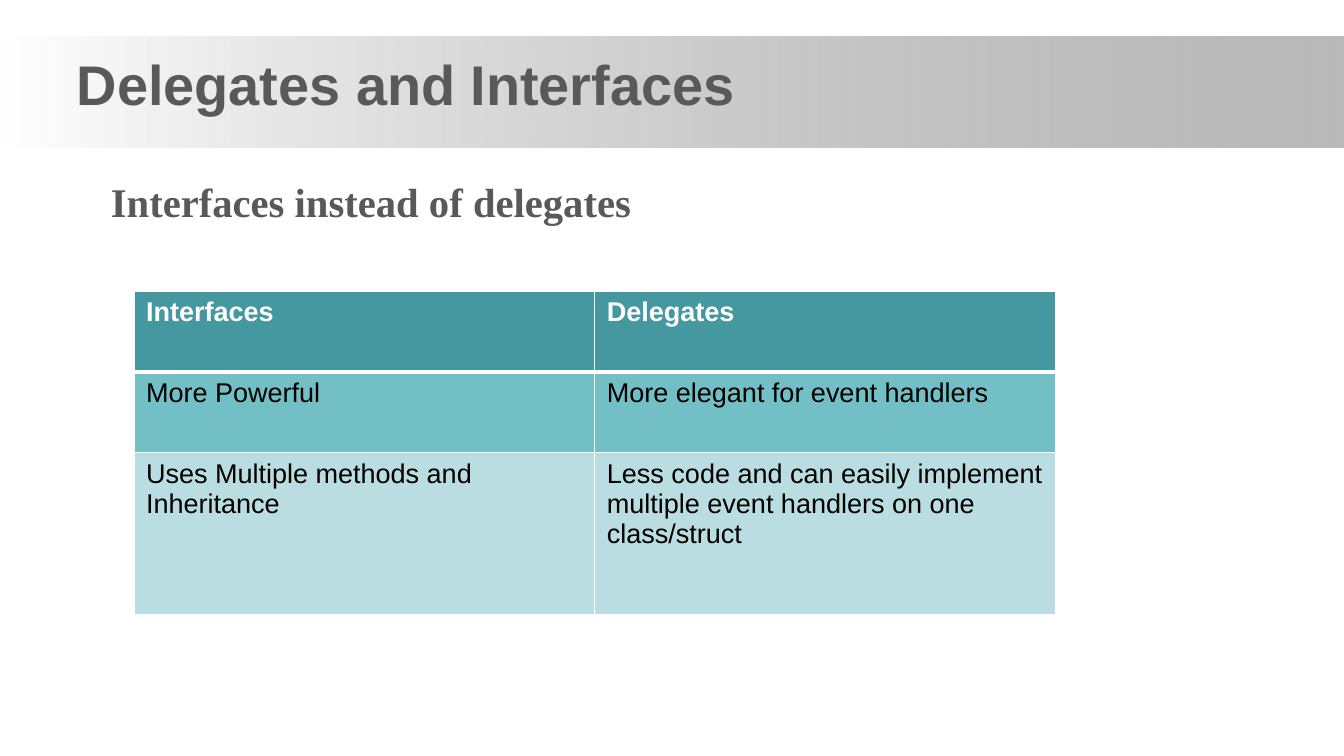
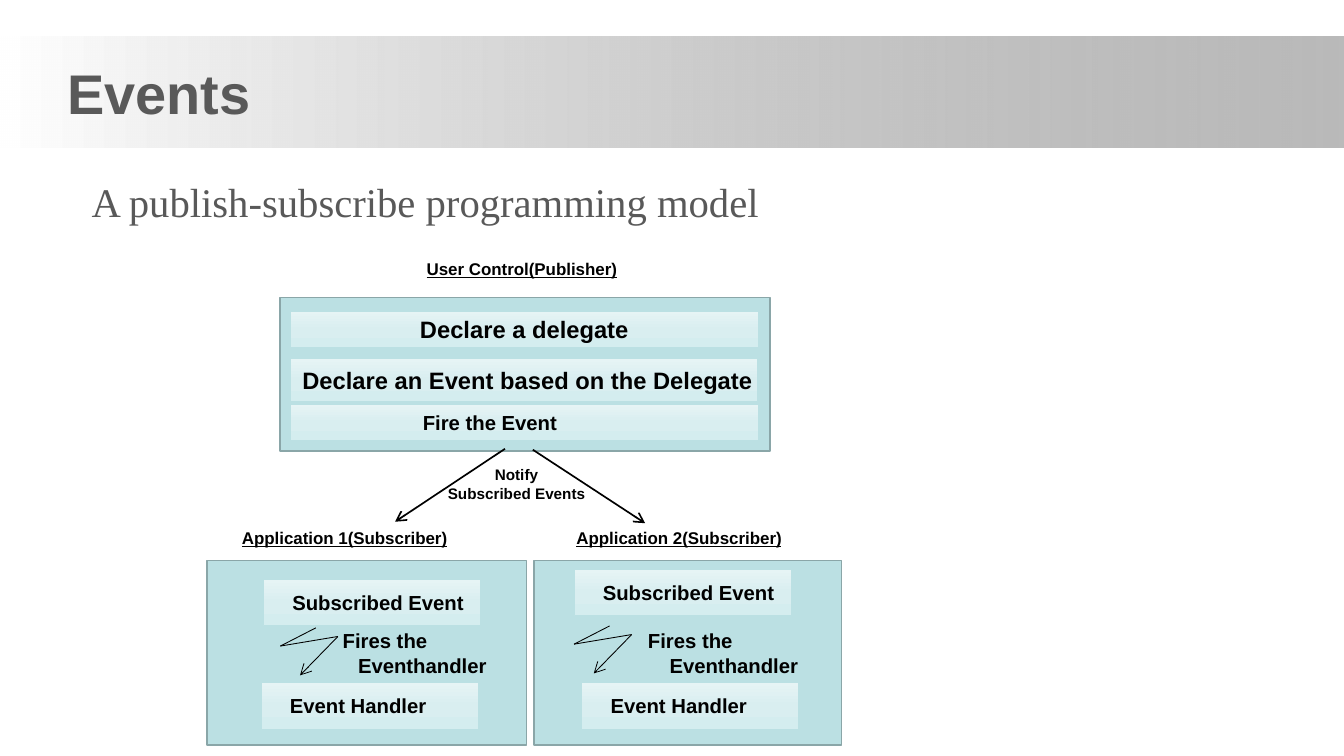
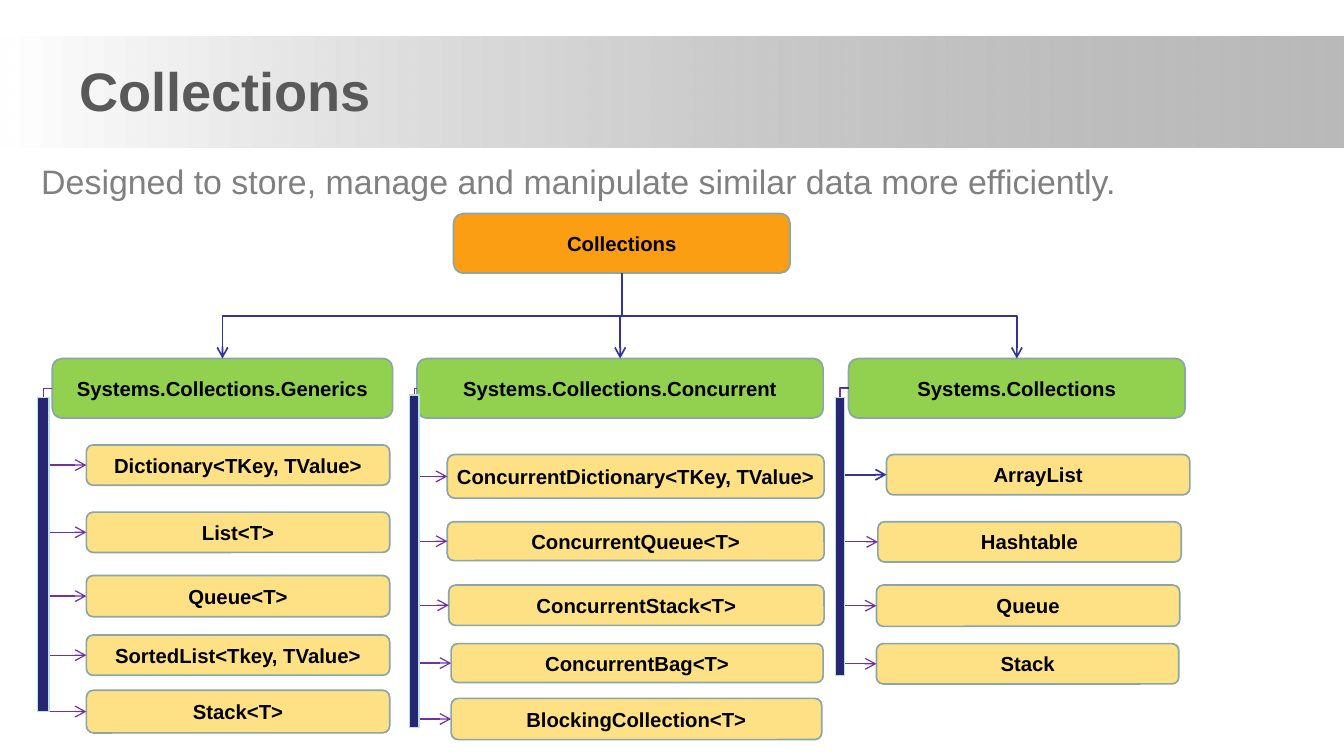
from itertools import pairwise

from lxml.etree import SubElement
from pptx import Presentation
from pptx.dml.color import RGBColor
from pptx.enum.shapes import MSO_CONNECTOR, MSO_SHAPE
from pptx.enum.text import MSO_ANCHOR, PP_ALIGN
from pptx.oxml.ns import qn
from pptx.util import Cm, Pt

WHITE = RGBColor(0xFF, 0xFF, 0xFF)
BLACK = RGBColor(0x00, 0x00, 0x00)
GRAY = RGBColor(0x80, 0x80, 0x80)
DARK_GRAY = RGBColor(0x59, 0x59, 0x59)
PALE_TEAL = RGBColor(0xBB, 0xE0, 0xE3)
TEAL_EDGE = RGBColor(0x8A, 0xA6, 0xA8)
PANEL_TOP = RGBColor(0xE6, 0xF4, 0xF5)
PANEL_MIDDLE = RGBColor(0xD9, 0xEE, 0xF0)
PANEL_BOTTOM = RGBColor(0xD4, 0xED, 0xEF)
HEADER_TEAL = RGBColor(0x45, 0x97, 0xA0)
ROW_TEAL = RGBColor(0x72, 0xBF, 0xC5)
ROW_LIGHT = RGBColor(0xBA, 0xDD, 0xE1)
ORANGE = RGBColor(0xFB, 0x9E, 0x13)
GREEN = RGBColor(0x92, 0xD0, 0x50)
YELLOW = RGBColor(0xFF, 0xE1, 0x85)
INDIGO = RGBColor(0x33, 0x33, 0x99)
NAVY = RGBColor(0x26, 0x26, 0x73)
PURPLE = RGBColor(0x70, 0x30, 0xA0)

SANS, SERIF = "Arial", "Times New Roman"
WIDTH, HEIGHT = 28, 15.75


class Deck:
    """Holds the shared style and the current slide; lengths are in cm."""

    def __init__(self):
        self.presentation = Presentation()
        self.presentation.slide_width = Cm(WIDTH)
        self.presentation.slide_height = Cm(HEIGHT)
        self.slide = None

    # Slide frame: band, title, subtitle
    def new_slide(self, title, left, top, size=33):
        layout = self.presentation.slide_layouts[6]
        self.slide = self.presentation.slides.add_slide(layout)
        band = self.shape(MSO_SHAPE.RECTANGLE, (0, 0.76, WIDTH, 2.31))
        self.gradient(band, [(0, WHITE, 100), (100, GRAY, 54)], 0)
        self.text([title], (left, top, 16, 1.32), size, DARK_GRAY,
                  anchor=MSO_ANCHOR.MIDDLE)

    def subtitle(self, text, left, top=3.68, size=24, color=DARK_GRAY,
                 font=SERIF, bold=False):
        self.text([text], (left, top, 25, 1.2), size, color, font, bold)

    # Text
    def add_lines(self, frame, lines, size, color=BLACK, font=SANS, bold=True,
                  underline=False, align=PP_ALIGN.LEFT, indents=()):
        for index, line in enumerate(lines):
            paragraph = frame.add_paragraph() if index else frame.paragraphs[0]
            paragraph.alignment = align
            if indents:
                properties = paragraph._p.get_or_add_pPr()
                properties.set("marL", str(Cm(indents[index])))
                properties.set("indent", "0")
            run = paragraph.add_run()
            run.text = line
            run.font.size = Pt(size)
            run.font.name = font
            run.font.bold = bold
            run.font.underline = underline
            run.font.color.rgb = color

    def fit(self, frame, anchor):
        frame.word_wrap = True
        frame.vertical_anchor = anchor
        frame.margin_left = frame.margin_right = 0
        frame.margin_top = frame.margin_bottom = 0

    def text(self, lines, box, size, color=BLACK, font=SANS, bold=True,
             anchor=MSO_ANCHOR.TOP, **style):
        frame = self.slide.shapes.add_textbox(*map(Cm, box)).text_frame
        self.fit(frame, anchor)
        self.add_lines(frame, lines, size, color, font, bold, **style)

    # Shapes
    def shape(self, kind, box, fill=None, edge=None, edge_width=1):
        shape = self.slide.shapes.add_shape(kind, *map(Cm, box))
        shape.shadow.inherit = False
        if fill is not None:
            shape.fill.solid()
            shape.fill.fore_color.rgb = fill
        if edge is None:
            shape.line.fill.background()
        else:
            shape.line.color.rgb = edge
            shape.line.width = Pt(edge_width)
        self.fit(shape.text_frame, MSO_ANCHOR.MIDDLE)
        return shape

    def gradient(self, shape, stops, angle):
        shape.fill.gradient()
        fill = shape.element.spPr.find(qn("a:gradFill"))
        stop_list = fill.find(qn("a:gsLst"))
        for stop in list(stop_list):
            stop_list.remove(stop)
        for position, color, opacity in stops:
            stop = SubElement(stop_list, qn("a:gs"), pos=str(position * 1000))
            value = SubElement(stop, qn("a:srgbClr"), val=str(color))
            if opacity < 100:
                SubElement(value, qn("a:alpha"), val=str(opacity * 1000))
        fill.find(qn("a:lin")).set("ang", str(angle * 60000))

    def container(self, box, lines=(), indents=()):
        shape = self.shape(MSO_SHAPE.RECTANGLE, box, PALE_TEAL, TEAL_EDGE)
        self.add_lines(shape.text_frame, lines, 12, indents=indents)

    def panel(self, text, box, indent=0.6, size=12):
        shape = self.shape(MSO_SHAPE.RECTANGLE, box, edge=PALE_TEAL, edge_width=0.5)
        self.gradient(shape, [(0, PANEL_TOP, 100), (50, PANEL_MIDDLE, 100),
                              (100, PANEL_BOTTOM, 100)], 90)
        self.add_lines(shape.text_frame, [text], size, indents=[indent])

    def node(self, text, box, fill):
        shape = self.shape(MSO_SHAPE.ROUNDED_RECTANGLE, box, fill, TEAL_EDGE)
        self.add_lines(shape.text_frame, [text], 12, align=PP_ALIGN.CENTER)
        return shape

    def rail(self, box):
        shape = self.shape(MSO_SHAPE.CAN, box, NAVY, PALE_TEAL, 0.75)
        shape.adjustments[0] = 0

    # Lines
    def style_line(self, connector, color, width, arrow):
        connector.line.color.rgb = color
        connector.line.width = Pt(width)
        properties = connector.element.spPr
        if arrow:
            SubElement(properties.find(qn("a:ln")), qn("a:tailEnd"), type="arrow")
        SubElement(properties, qn("a:effectLst"))

    def line(self, start, end, width=1, arrow=True):
        connector = self.slide.shapes.add_connector(
            MSO_CONNECTOR.STRAIGHT, *map(Cm, start + end))
        self.style_line(connector, BLACK, width, arrow)

    def elbow(self, parent, parent_side, child, child_side, color, width):
        connector = self.slide.shapes.add_connector(MSO_CONNECTOR.ELBOW, 0, 0, 0, 0)
        connector.begin_connect(parent, parent_side)
        connector.end_connect(child, child_side)
        self.style_line(connector, color, width, True)
        return connector

    def branch(self, parent, child):
        """Run down, across and down: an elbow turned by a quarter."""
        connector = self.elbow(parent, 2, child, 0, INDIGO, 1)
        start_x, start_y = connector.begin_x, connector.begin_y
        run, drop = connector.end_x - start_x, connector.end_y - start_y
        connector.left = start_x + (run - drop) // 2
        connector.top = start_y + (drop - abs(run)) // 2
        connector.width, connector.height = drop, abs(run)
        transform = connector.element.spPr.find(qn("a:xfrm"))
        transform.attrib.clear()
        transform.set("rot", str(90 * 60000))
        if run > 0:
            transform.set("flipV", "1")

    def rung(self, group, item, rail_x, color, width):
        """Run left to the rail, down along it and right to the item."""
        connector = self.elbow(group, 1, item, 1, color, width)
        bend = (Cm(rail_x) - group.left) / (item.left - group.left)
        guides = connector.element.spPr.find(qn("a:prstGeom")).find(qn("a:avLst"))
        SubElement(guides, qn("a:gd"), name="adj1", fmla=f"val {round(bend * 100000)}")

    # Table
    def table(self, rows, left, top, column_width, heights, fills):
        table = self.slide.shapes.add_table(
            len(rows), len(rows[0]), Cm(left), Cm(top),
            Cm(column_width * len(rows[0])), Cm(sum(heights))).table
        for column in table.columns:
            column.width = Cm(column_width)
        for index, texts in enumerate(rows):
            table.rows[index].height = Cm(heights[index])
            header = index == 0
            borders = {"L": 1, "R": 1, "T": 3 if index == 1 else 1,
                       "B": 3 if header else 1}
            for column, text in enumerate(texts):
                cell = table.cell(index, column)
                self.add_lines(cell.text_frame, [text], 16,
                               WHITE if header else BLACK, bold=header)
                properties = cell._tc.get_or_add_tcPr()
                for side, width in borders.items():
                    border = SubElement(properties, qn(f"a:ln{side}"), w=str(Pt(width)))
                    fill = SubElement(border, qn("a:solidFill"))
                    SubElement(fill, qn("a:srgbClr"), val=str(WHITE))
                cell.fill.solid()
                cell.fill.fore_color.rgb = fills[index]


def delegates_slide(deck):
    deck.new_slide("Delegates and Interfaces", 1.6, 1.07)
    deck.subtitle("Interfaces instead of delegates", 2.31, bold=True)
    rows = [
        ("Interfaces", "Delegates"),
        ("More Powerful", "More elegant for event handlers"),
        ("Uses Multiple methods and Inheritance",
         "Less code and can easily implement multiple event handlers "
         "on one class/struct"),
    ]
    deck.table(rows, 2.79, 6.07, 9.6, (1.68, 1.68, 3.38),
               (HEADER_TEAL, ROW_TEAL, ROW_LIGHT))


def events_slide(deck):
    deck.new_slide("Events", 1.4, 1.27)
    deck.subtitle("A publish-subscribe programming model", 1.91)

    # Publisher
    deck.container((5.84, 6.2, 10.21, 3.2))
    deck.panel("Declare a delegate", (6.05, 6.48, 9.75, 0.76), 2.7, 14)
    deck.panel("Declare an Event based on the Delegate",
               (6.05, 7.47, 9.73, 0.89), 0.25, 14)
    deck.panel("Fire the Event", (6.05, 8.43, 9.75, 0.74), 2.76)

    # Subscribers: container left and width, indents, panel places, bolt start
    subscribers = [
        (4.32, 6.65, (2.82, 3.14), (5.49, 12.07), 5.44, (6.58, 13.08)),
        (11.13, 6.4, (2.37, 2.82), (11.96, 11.86), 12.12, (12.7, 13.04)),
    ]
    bolt = [(0, 0), (-0.74, 0.38), (0.46, 0.18), (-0.33, 0.99)]
    for left, width, indents, event, handler_left, (x, y) in subscribers:
        deck.container((left, 11.68, width, 3.84),
                       ("Fires the", "Eventhandler"), indents)
        deck.panel("Subscribed Event", (*event, 4.52, 0.97))
        deck.panel("Event Handler", (handler_left, 14.22, 4.52, 0.97))
        corners = [(x + dx, y + dy) for dx, dy in bolt]
        for start, end in pairwise(corners):
            deck.line(start, end, 0.5, arrow=end == corners[-1])

    # Notifications
    deck.line((10.52, 9.35), (8.23, 10.87))
    deck.line((11.1, 9.37), (13.44, 10.9))
    deck.text(("Notify", "Subscribed Events"), (8.96, 9.7, 3.6, 0.8), 9,
              align=PP_ALIGN.CENTER)

    # Labels
    for label, left, top in (("User Control(Publisher)", 8.89, 5.38),
                             ("Application 1(Subscriber)", 5.04, 11),
                             ("Application 2(Subscriber)", 12.01, 11)):
        deck.text([label], (left, top, 5, 0.45), 10, underline=True)


def collections_slide(deck):
    deck.new_slide("Collections", 1.65, 1.22, 32)
    deck.subtitle("Designed to store, manage and manipulate similar data "
                  "more efficiently.", 0.86, 3.35, 20, GRAY, SANS)
    root = deck.node("Collections", (9.45, 4.45, 7.01, 1.24), ORANGE)

    # Groups: name, left, width, rail box, items
    groups = [
        ("Systems.Collections.Generics", 1.09, 7.09, (0.79, 8.28, 0.23, 6.55), [
            ("Dictionary<TKey, TValue>", (1.8, 9.27, 6.32, 0.84)),
            ("List<T>", (1.8, 10.67, 6.32, 0.84)),
            ("Queue<T>", (1.8, 11.99, 6.32, 0.86)),
            ("SortedList<Tkey, TValue>", (1.8, 13.23, 6.32, 0.84)),
            ("Stack<T>", (1.8, 14.38, 6.32, 0.89))]),
        ("Systems.Collections.Concurrent", 8.69, 8.46, (8.53, 8.23, 0.2, 6.93), [
            ("ConcurrentDictionary<TKey, TValue>", (9.32, 9.47, 7.85, 0.91)),
            ("ConcurrentQueue<T>", (9.32, 10.87, 7.85, 0.81)),
            ("ConcurrentStack<T>", (9.35, 12.19, 7.82, 0.84)),
            ("ConcurrentBag<T>", (9.4, 13.41, 7.75, 0.81)),
            ("BlockingCollection<T>", (9.4, 14.55, 7.72, 0.86))]),
        ("Systems.Collections", 17.68, 7.01, (17.4, 8.28, 0.2, 5.79), [
            ("ArrayList", (18.47, 9.47, 6.32, 0.84)),
            ("Hashtable", (18.29, 10.87, 6.32, 0.84)),
            ("Queue", (18.26, 12.19, 6.32, 0.86)),
            ("Stack", (18.26, 13.41, 6.3, 0.84))]),
    ]
    for name, left, width, rail, items in groups:
        group = deck.node(name, (left, 7.47, width, 1.24), GREEN)
        deck.branch(root, group)
        rail_x = rail[0] + rail[2] / 2
        for label, box in items:
            item = deck.node(label, box, YELLOW)
            style = (INDIGO, 1) if label == "ArrayList" else (PURPLE, 0.75)
            deck.rung(group, item, rail_x, *style)
        deck.rail(rail)


def main():
    deck = Deck()
    delegates_slide(deck)
    events_slide(deck)
    collections_slide(deck)
    deck.presentation.save("out.pptx")


if __name__ == "__main__":
    main()
